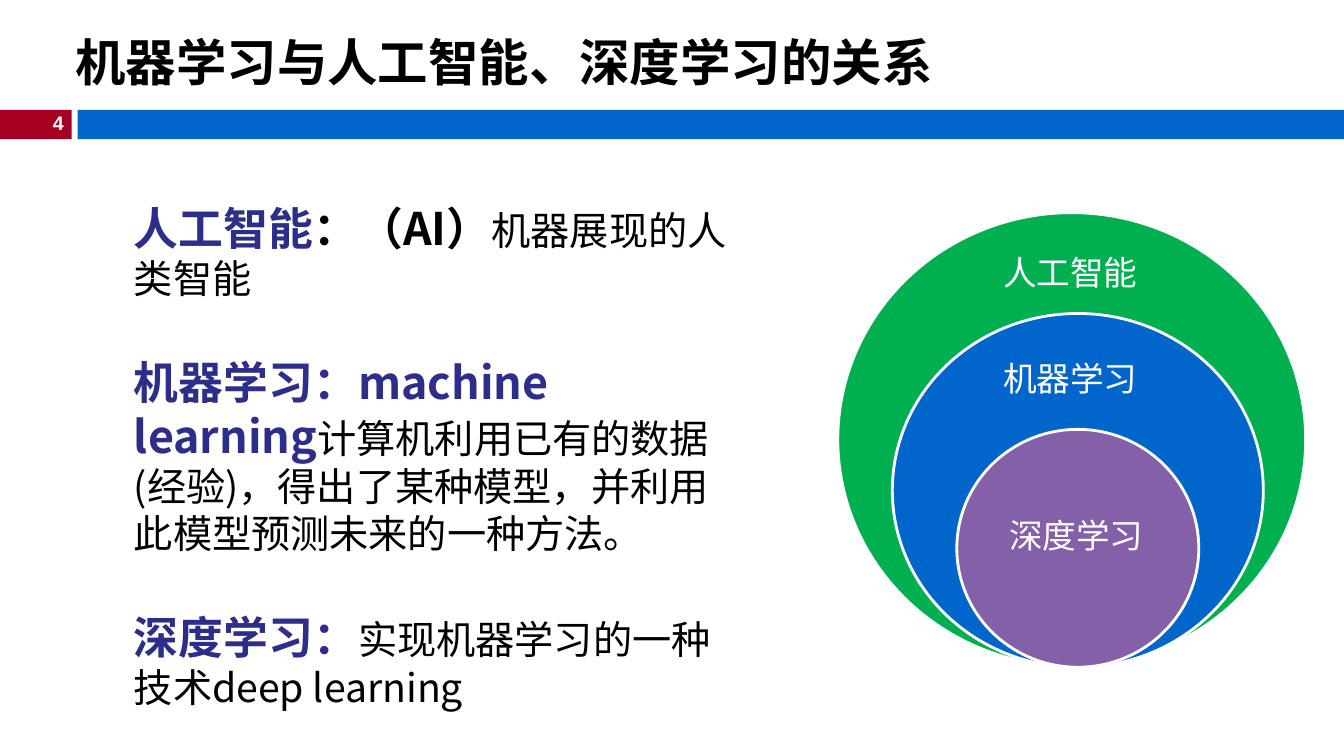
from dataclasses import dataclass

from pptx import Presentation
from pptx import util as u
from pptx.dml.color import RGBColor
from pptx.enum import shapes, text

WIDTH, HEIGHT = 13.33, 7.5


@dataclass(frozen=True)
class Theme:
    red: str = "A50021"
    blue: str = "0066CC"
    green: str = "00B050"
    purple: str = "8460A8"
    term: str = "2D2D8A"
    ink: str = "000000"
    white: str = "FFFFFF"
    latin: str = "Arial"
    chinese: str = "Noto Sans CJK SC"
    title: int = 36
    term_size: int = 32
    body: int = 28
    label: int = 24
    number: int = 14
    gap: int = 38
    outline: int = 2


THEME = Theme()

# Each definition: runs of (text, colour, size, bold)
DEFINITIONS = [
    [("人工智能", THEME.term, THEME.term_size, True),
     ("：（AI）", THEME.ink, THEME.term_size, True),
     ("机器展现的人类智能", THEME.ink, THEME.body, False)],
    [("机器学习：machine learning", THEME.term, THEME.term_size, True),
     ("计算机利用已有的数据(经验)，得出了某种模型，并利用此模型预测未来的一种方法。",
      THEME.ink, THEME.body, False)],
    [("深度学习：", THEME.term, THEME.term_size, True),
     ("实现机器学习的一种技术deep learning", THEME.ink, THEME.body, False)],
]

# Nested fields: label, fill, circle box, label corner
FIELDS = [
    ("人工智能", THEME.green, (8.31, 2.11, 4.64, 4.5), (9.85, 2.45)),
    ("机器学习", THEME.blue, (8.85, 3.11, 3.68, 3.51), (9.85, 3.5)),
    ("深度学习", THEME.purple, (9.49, 4.26, 2.4, 2.36), (9.91, 5.06)),
]


def inches(box):
    return [u.Inches(length) for length in box]


def add_filled(slide, kind, box, fill, outline=None):
    figure = slide.shapes.add_shape(kind, *inches(box))
    figure.shadow.inherit = False
    figure.fill.solid()
    figure.fill.fore_color.rgb = RGBColor.from_string(fill)
    if outline:
        figure.line.color.rgb = RGBColor.from_string(outline)
        figure.line.width = u.Pt(THEME.outline)
    else:
        figure.line.fill.background()


def add_words(slide, box, paragraphs, font, align=text.PP_ALIGN.LEFT,
              anchor=text.MSO_ANCHOR.TOP, gap=0):
    frame = slide.shapes.add_textbox(*inches(box)).text_frame
    frame.word_wrap = True
    frame.vertical_anchor = anchor
    for index, runs in enumerate(paragraphs):
        paragraph = frame.add_paragraph() if index else frame.paragraphs[0]
        paragraph.alignment = align
        if index:
            paragraph.space_before = u.Pt(gap)
        for words, colour, size, bold in runs:
            run = paragraph.add_run()
            run.text = words
            run.font.name = font
            run.font.size = u.Pt(size)
            run.font.bold = bold
            run.font.color.rgb = RGBColor.from_string(colour)


def add_header(slide):
    top, depth, split = 1.09, 0.29, 0.77
    rectangle = shapes.MSO_SHAPE.RECTANGLE
    add_filled(slide, rectangle, (0, top, 0.71, depth), THEME.red)
    add_filled(slide, rectangle, (split, top, WIDTH - split, depth), THEME.blue)
    add_words(slide, (0.29, 1.05, 0.44, 0.34),
              [[("4", THEME.white, THEME.number, True)]],
              THEME.latin, align=text.PP_ALIGN.RIGHT)
    add_words(slide, (0.65, 0, 9.54, 1.22),
              [[("机器学习与人工智能、深度学习的关系", THEME.ink, THEME.title, True)]],
              THEME.latin, anchor=text.MSO_ANCHOR.MIDDLE)


def add_nested_circles(slide):
    for _, fill, circle, _ in FIELDS:
        add_filled(slide, shapes.MSO_SHAPE.OVAL, circle, fill, THEME.white)
    for label, _, _, corner in FIELDS:
        add_words(slide, (*corner, 1.55, 0.5),
                  [[(label, THEME.white, THEME.label, False)]], THEME.chinese)


def main():
    deck = Presentation()
    deck.slide_width, deck.slide_height = inches((WIDTH, HEIGHT))
    slide = deck.slides.add_slide(deck.slide_layouts[6])
    add_header(slide)
    # Definitions on the left, nested fields on the right
    add_words(slide, (1.23, 1.94, 6.16, 5.2), DEFINITIONS, THEME.chinese, gap=THEME.gap)
    add_nested_circles(slide)
    deck.save("out.pptx")


if __name__ == "__main__":
    main()
